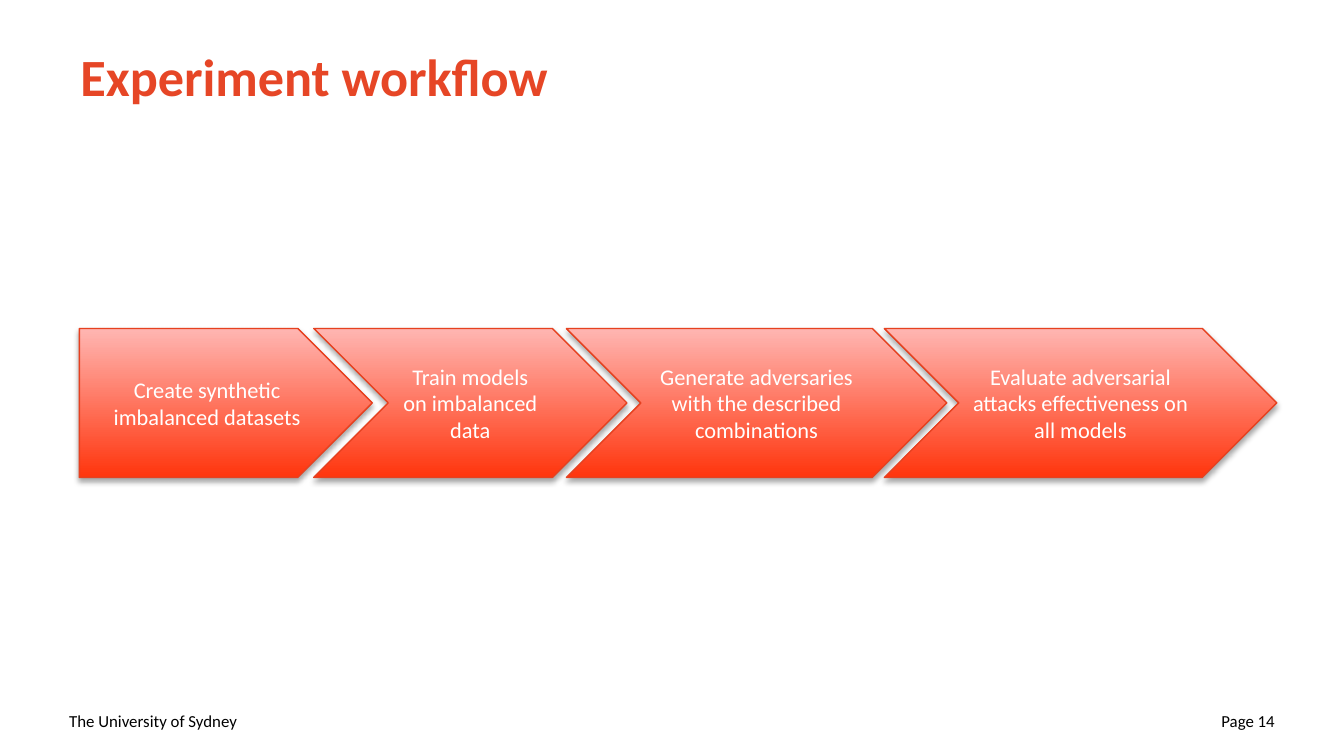
from lxml import etree
from pptx import Presentation
from pptx.dml.color import RGBColor
from pptx.enum.shapes import MSO_SHAPE
from pptx.enum.text import MSO_ANCHOR, PP_ALIGN
from pptx.util import Inches, Pt

PLATE, CHEVRON = MSO_SHAPE.PENTAGON, MSO_SHAPE.CHEVRON
LEFT, MID, RIGHT = PP_ALIGN.LEFT, PP_ALIGN.CENTER, PP_ALIGN.RIGHT
CENTRE = MSO_ANCHOR.MIDDLE
WIDE = Inches(10)
HIGH = WIDE * 9 // 16
COL, ROW = WIDE / 100, HIGH / 100
NS = "{http://schemas.openxmlformats.org/drawingml/2006/main}"
STEPS = [
    (0, 21.8, "Create synthetic imbalanced datasets"),
    (17.45, 23.3, "Train models on imbalanced data"),
    (36.25, 28.3, "Generate adversaries with the described combinations"),
    (59.9, 29.2, "Evaluate adversarial attacks effectiveness on all models"),
]


def paint(code):
    """Turn a hex string into a colour."""
    return RGBColor.from_string(code)


def grid(x, y, w, h):
    """Turn columns and rows into slide lengths."""
    return int(x * COL), int(y * ROW), int(w * COL), int(h * ROW)


def write(shape, text, size, tint, align=LEFT, bold=False):
    """Set one styled paragraph, centred in height."""
    frame = shape.text_frame
    frame.word_wrap = True
    frame.vertical_anchor = CENTRE
    frame.text = text
    para = frame.paragraphs[0]
    para.alignment = align
    font = para.runs[0].font
    font.name, font.size, font.bold = "Calibri", Pt(size), bold
    font.color.rgb = paint(tint)


def label(slide, box, *style):
    """Add a text box in the given grid box."""
    write(slide.shapes.add_textbox(*grid(*box)), *style)


def shade(shape):
    """Give a shape a soft shadow below it."""
    shape.shadow.inherit = False
    effect = shape._element.spPr.find(NS + "effectLst")
    outer = etree.SubElement(
        effect, NS + "outerShdw", blurRad=str(Pt(3.1)), dist=str(Pt(1.8)),
        dir="5400000", rotWithShape="0")
    tint = etree.SubElement(outer, NS + "srgbClr", val="000000")
    etree.SubElement(tint, NS + "alpha", val="35000")


def step(slide, box, kind, text):
    """Add one arrow of the workflow."""
    shape = slide.shapes.add_shape(kind, *grid(*box))
    shape.fill.gradient()
    shape.fill.gradient_angle = 90
    for stop, tint in zip(shape.fill.gradient_stops, ("FF350D", "FFB6B2")):
        stop.color.rgb = paint(tint)
    shape.line.color.rgb = paint("E64120")
    shape.line.width = Pt(0.75)
    shade(shape)
    write(shape, text, 12, "FFFFFF", MID)


def flow(slide, x, y, h):
    """Place the steps along a band from its left edge."""
    for i, (dx, w, text) in enumerate(STEPS):
        step(slide, (x + dx, y, w, h), CHEVRON if i else PLATE, text)


def foot(slide, x, y, w, h):
    """Place the owner and the page number at the ends of a band."""
    part = 23.3
    label(slide, (x, y, part, h), "The University of Sydney", 9, "000000")
    label(slide, (x + w - part, y, part, h), "Page 14", 9, "000000", RIGHT)


def main():
    """Build and save the slide."""
    deck = Presentation()
    deck.slide_width, deck.slide_height = WIDE, HIGH
    slide = deck.slides.add_slide(deck.slide_layouts[6])
    foot(slide, 4.17, 92.7, 91.66, 5.33)
    label(slide, (5, 1.7, 90, 16.7), "Experiment workflow", 28, "E64626",
          LEFT, True)
    flow(slide, 5.9, 43.45, 19.7)
    deck.save("out.pptx")


if __name__ == "__main__":
    main()
